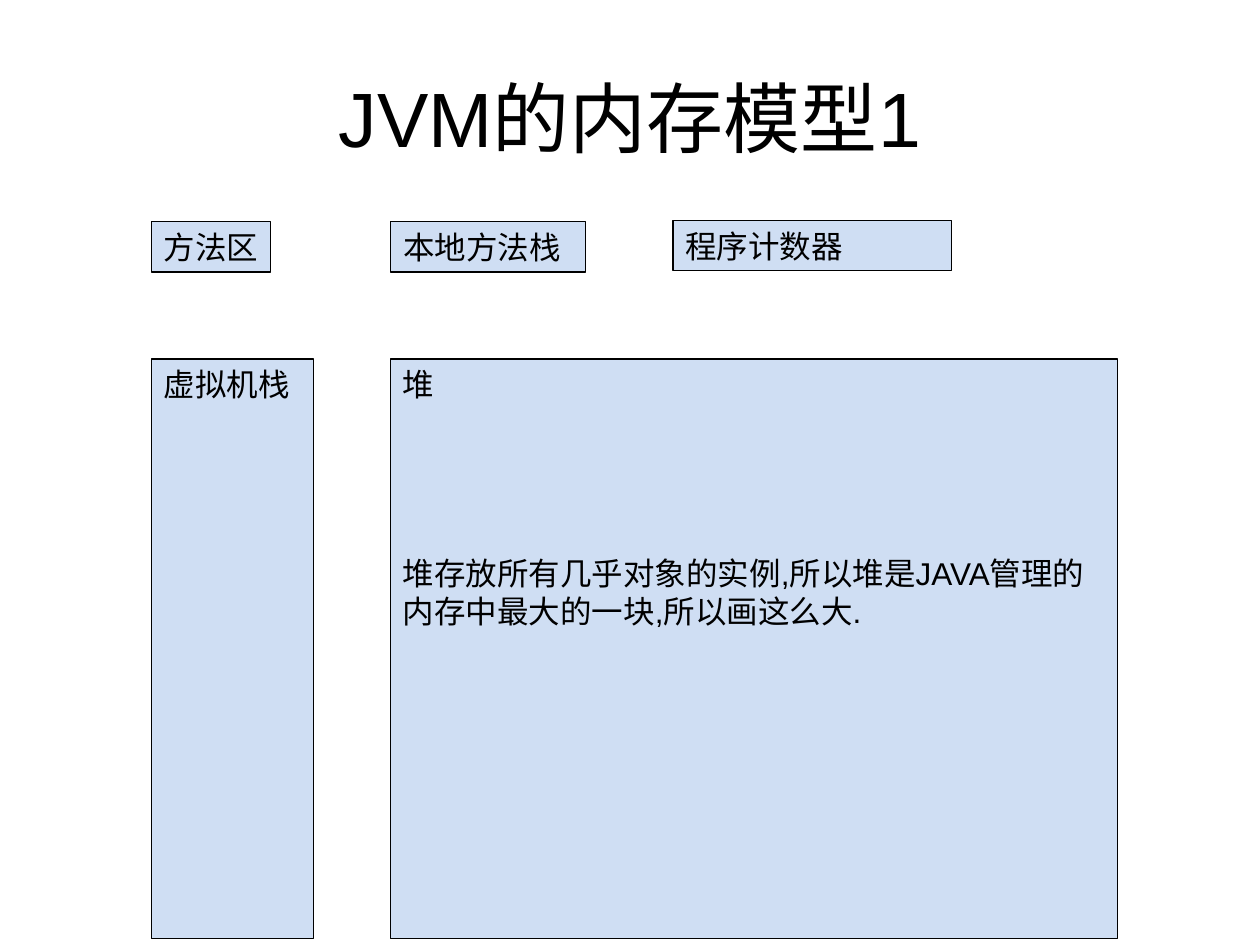
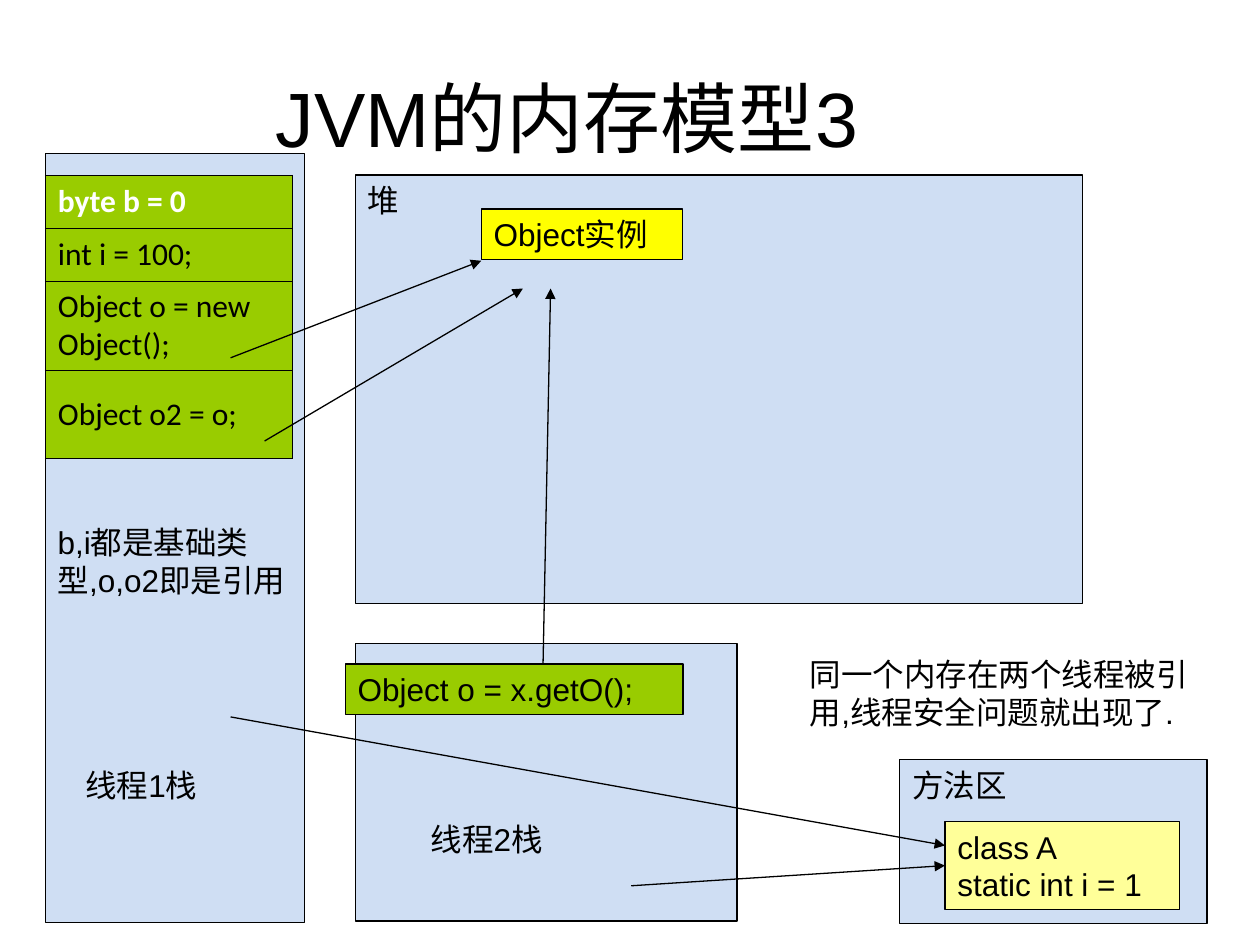
from typing import NamedTuple

from lxml.etree import SubElement
from pptx import Presentation
from pptx.dml.color import RGBColor
from pptx.enum.shapes import MSO_CONNECTOR, MSO_SHAPE
from pptx.enum.text import MSO_ANCHOR, PP_ALIGN
from pptx.oxml.ns import qn
from pptx.util import Emu, Inches, Pt

COLS, ROWS = 100, 75
WIDE, HIGH = Inches(10), Inches(7.5)
BLACK, WHITE = "000000", "FFFFFF"
PALE, GREEN, YELLOW, CREAM = "CFDEF3", "99CC00", "FFFF00", "FFFF99"


class Box(NamedTuple):
    col: float
    row: float
    cols: float
    rows: float
    text: str = ""
    fill: str | None = PALE
    wrap: bool = True
    gap: float = 0


class Arrow(NamedTuple):
    col: float
    row: float
    to_col: float
    to_row: float


def across(n: float) -> Emu:
    return Emu(round(WIDE * n / COLS))


def down(n: float) -> Emu:
    return Emu(round(HIGH * n / ROWS))


def color(code: str) -> RGBColor:
    return RGBColor.from_string(code)


def write(frame, text: str, *, size: float = 18, font: str = "Arial",
          ink: str = BLACK, bold: bool = False, align=PP_ALIGN.LEFT,
          anchor=MSO_ANCHOR.TOP, wrap: bool = True,
          before: float = 0, gap: float = 0) -> None:
    frame.word_wrap = wrap
    frame.vertical_anchor = anchor
    for i, line in enumerate(text.split("\n")):
        par = frame.paragraphs[0] if i == 0 else frame.add_paragraph()
        par.alignment = align
        par.space_before = Pt(gap if i else before)
        run = par.add_run()
        run.text = line
        run.font.size = Pt(size)
        run.font.name = font
        run.font.bold = bold
        run.font.color.rgb = color(ink)


def place(shape, col: float, row: float, cols: float, rows: float) -> None:
    shape.left, shape.top = across(col), down(row)
    shape.width, shape.height = across(cols), down(rows)


def start(deck, text: str, col: float):
    slide = deck.slides.add_slide(deck.slide_layouts[5])
    title = slide.shapes.title
    place(title, col, 3, 90, 12.5)
    write(title.text_frame, text, size=44, align=PP_ALIGN.CENTER,
          anchor=MSO_ANCHOR.MIDDLE)
    return slide


def draw(slide, box: Box):
    spot = across(box.col), down(box.row), across(box.cols), down(box.rows)
    if box.fill:
        shape = slide.shapes.add_shape(MSO_SHAPE.RECTANGLE, *spot)
        shape.shadow.inherit = False
        shape.fill.solid()
        shape.fill.fore_color.rgb = color(box.fill)
        shape.line.color.rgb = color(BLACK)
        shape.line.width = Pt(0.75)
    else:
        shape = slide.shapes.add_textbox(*spot)
    if box.text:
        write(shape.text_frame, box.text, wrap=box.wrap, gap=box.gap)
    return shape


def point(slide, arrow: Arrow):
    line = slide.shapes.add_connector(
        MSO_CONNECTOR.STRAIGHT, across(arrow.col), down(arrow.row),
        across(arrow.to_col), down(arrow.to_row))
    line.line.color.rgb = color(BLACK)
    line.line.width = Pt(0.75)
    SubElement(line.line._get_or_add_ln(), qn("a:tailEnd"), type="triangle")
    SubElement(line._element.spPr, qn("a:effectLst"))
    return line


def edge(cell) -> None:
    props = cell._tc.get_or_add_tcPr()
    for i, side in enumerate(("lnL", "lnR", "lnT", "lnB")):
        line = props.makeelement(qn(f"a:{side}"), w=str(Pt(0.45)))
        fill = SubElement(line, qn("a:solidFill"))
        SubElement(fill, qn("a:srgbClr"), val=BLACK)
        props.insert(i, line)


def stack(slide, col: float, row: float, cols: float,
          lines: list[tuple[str, float]]) -> None:
    total = sum(rows for _, rows in lines)
    grid = slide.shapes.add_table(len(lines), 1, across(col), down(row),
                                  across(cols), down(total)).table
    grid.first_row = grid.horz_banding = False
    for i, (text, rows) in enumerate(lines):
        grid.rows[i].height = down(rows)
        cell = grid.cell(i, 0)
        cell.fill.solid()
        cell.fill.fore_color.rgb = color(GREEN)
        cell.vertical_anchor = MSO_ANCHOR.MIDDLE
        head = i == 0
        write(cell.text_frame, text, font="Calibri", bold=head,
              ink=WHITE if head else BLACK, before=4.5,
              anchor=MSO_ANCHOR.MIDDLE)
        edge(cell)


def areas(deck) -> None:
    slide = start(deck, "JVM的内存模型1", 5)
    heap = "堆\n堆存放所有几乎对象的实例,所以堆是JAVA管理的内存中最大的一块,所以画这么大."
    for box in (
        Box(12, 17.6, 9.5, 4, "方法区", wrap=False),
        Box(31, 17.6, 15.5, 4, "本地方法栈"),
        Box(53.4, 17.5, 22.1, 4, "程序计数器"),
        Box(12, 28.5, 12.9, 46, "虚拟机栈"),
        Box(31, 28.5, 57.7, 46, heap, gap=86.4),
    ):
        draw(slide, box)


def threads(deck) -> None:
    slide = start(deck, "JVM的内存模型3", 0)
    draw(slide, Box(3.6, 12.2, 20.6, 61))
    stack(slide, 3.6, 13.9, 19.6, [
        ("byte b = 0", 4.2), ("int i = 100;", 4.2),
        ("Object o = new Object();", 7), ("Object o2 = o;", 7)])
    for box in (
        Box(3.6, 41, 22.6, 7, "b,i都是基础类型,o,o2即是引用", None),
        Box(28.2, 13.9, 57.7, 34, "堆"),
        Box(38.2, 16.6, 16, 4, "Object实例", YELLOW),
        Box(28.2, 51.1, 30.3, 22),
        Box(5.8, 60.3, 17.4, 4, "线程1栈", None),
        Box(27.4, 52.7, 26.8, 4, "Object o = x.getO();", GREEN),
        Box(33.2, 64.6, 21, 4, "线程2栈", None),
        Box(63.3, 51.5, 32.4, 7,
            "同一个内存在两个线程被引用,线程安全问题就出现了.", None),
        Box(71.4, 60.3, 24.4, 13, "方法区"),
    ):
        draw(slide, box)
    kind = draw(slide, Box(75, 65.2, 18.6, 7, "class A\nstatic int i = 1", CREAM))
    for arrow in (
        Arrow(18.3, 28.4, 38.2, 20.7),
        Arrow(21, 35, 41.5, 22.9),
        Arrow(43.1, 52.7, 43.7, 22.9),
        Arrow(18.3, 56.9, 75, 67.1),
    ):
        point(slide, arrow)
    point(slide, Arrow(50.1, 70.3, 75, 68.7)).end_connect(kind, 1)


def main() -> None:
    deck = Presentation()
    deck.slide_width, deck.slide_height = WIDE, HIGH
    areas(deck)
    threads(deck)
    deck.save("out.pptx")


if __name__ == "__main__":
    main()
